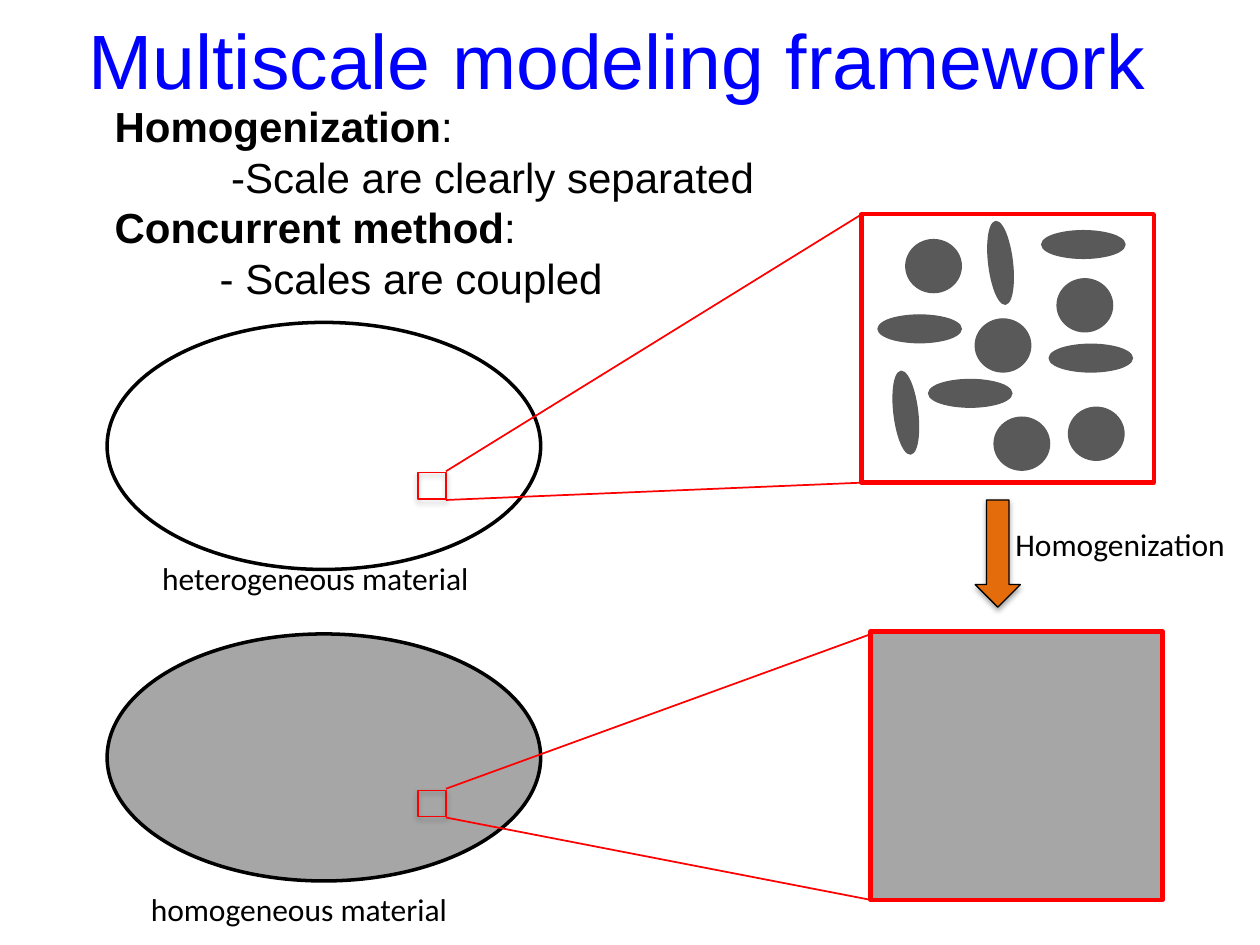
from lxml.etree import SubElement as Sub
from pptx import Presentation
from pptx.dml.color import RGBColor
from pptx.enum.shapes import MSO_CONNECTOR as Link, MSO_SHAPE as Form
from pptx.enum.text import MSO_ANCHOR as Anchor, PP_ALIGN as Align
from pptx.oxml.ns import qn
from pptx.util import Cm, Pt

HUES = {"title": "0000FF", "ink": "000000", "zoom": "FF0000",
        "grain": "595959", "mean": "A6A6A6", "arrow": "E46C0A"}
BODY = (8.74, 4.98)     # ellipse of the whole material
CELL = (5.89, 5.41)     # enlarged cell
SPOT = (0.56, 0.53)     # small square marking the cell in the body
GRAINS = [              # size, turn, places within the cell
    ((1.12, 1.07), 0, [(0.89, 0.51), (2.29, 2.11), (2.67, 4.09),
                       (3.94, 1.3), (4.17, 3.89)]),
    ((1.68, 0.56), 0, [(3.63, 0.33), (0.33, 2.03), (3.78, 2.62),
                       (1.35, 3.33)]),
    ((1.68, 0.48), 83.3, [(0.05, 3.76), (1.96, 0.74)]),
]


def hue(name):
    return RGBColor.from_string(HUES[name])


def add_form(shapes, kind, spot, size, fill, line, width):
    form = shapes.add_shape(kind, *map(Cm, (*spot, *size)))
    form.shadow.inherit = False
    if fill:
        form.fill.solid()
        form.fill.fore_color.rgb = hue(fill)
    else:
        form.fill.background()
    form.line.color.rgb = hue(line)
    form.line.width = Pt(width)
    return form


def add_shade(form):
    """Give the shape a soft shadow straight below it."""
    effects = form._element.spPr.find(qn("a:effectLst"))
    outer = Sub(effects, qn("a:outerShdw"), blurRad="40000", dist="23000",
                dir="5400000", rotWithShape="0")
    color = Sub(outer, qn("a:srgbClr"), val=HUES["ink"])
    Sub(color, qn("a:alpha"), val="35000")


def add_ray(shapes, start, end):
    ray = shapes.add_connector(Link.STRAIGHT, *map(Cm, (*start, *end)))
    ray.line.color.rgb = hue("zoom")
    ray.line.width = Pt(1)
    Sub(ray._element.spPr, qn("a:effectLst"))


def add_text(shapes, box, lines, size, font="Calibri", color="ink",
             align=Align.LEFT, anchor=Anchor.TOP):
    """Each line is an indent in cm and a list of (text, bold) runs."""
    frame = shapes.add_textbox(*map(Cm, box)).text_frame
    frame.word_wrap = True
    frame.vertical_anchor = anchor
    for num, (indent, runs) in enumerate(lines):
        para = frame.add_paragraph() if num else frame.paragraphs[0]
        para.alignment = align
        if indent:
            para._p.get_or_add_pPr().set("marL", str(Cm(indent)))
        for text, bold in runs:
            run = para.add_run()
            run.text = text
            run.font.name = font
            run.font.size = Pt(size)
            run.font.bold = bold
            run.font.color.rgb = hue(color)


def add_label(shapes, box, text):
    add_text(shapes, box, [(0, [(text, False)])], 18)


def add_head(shapes, x, y):
    add_text(shapes, (x, y, 22.86, 3.18),
             [(0, [("Multiscale modeling framework", False)])], 44, "Arial",
             "title", Align.CENTER, Anchor.MIDDLE)
    add_text(shapes, (x + 1.04, y + 2.32, 18.52, 4.37), [
        (0, [("Homogenization", True), (":", False)]),
        (2.35, [("-Scale are clearly separated", False)]),
        (0, [("Concurrent method", True), (":", False)]),
        (2.12, [("- Scales are coupled", False)]),
    ], 24, "Arial")


def add_grains(shapes, x, y):
    for size, turn, spots in GRAINS:
        for dx, dy in spots:
            grain = add_form(shapes, Form.OVAL, (x + dx, y + dy), size,
                             "grain", "grain", 0.75)
            grain.rotation = turn


def add_scale(shapes, body, cell, drop, fill=None, inset=0):
    """Draw a body, its enlarged cell and the rays between them."""
    add_form(shapes, Form.OVAL, body, BODY, fill, "ink", 2)
    group = shapes.add_group_shape().shapes if not fill else shapes
    add_form(group, Form.RECTANGLE, cell, CELL, fill, "zoom", 2.5)
    if not fill:
        add_grains(group, *cell)
    x, y = body[0] + 6.27, body[1] + drop
    add_shade(add_form(shapes, Form.RECTANGLE, (x, y), SPOT, None,
                       "zoom", 0.75))
    right, low = x + SPOT[0], y + SPOT[1]
    add_ray(shapes, (right, y - 0.03), (cell[0] + inset, cell[1]))
    add_ray(shapes, (right, low + 0.02), (cell[0], cell[1] + CELL[1]))


def add_step(shapes, x, y):
    add_label(shapes, (x + 0.56, y + 0.38, 5.18, 1.02), "Homogenization")
    add_shade(add_form(shapes, Form.DOWN_ARROW, (x, y), (0.91, 2.16),
                       "arrow", "ink", 0.75))


def main():
    deck = Presentation()
    deck.slide_width, deck.slide_height = Cm(25.4), Cm(19.05)
    shapes = deck.slides.add_slide(deck.slide_layouts[6]).shapes
    add_head(shapes, 1.02, -0.41)
    add_scale(shapes, (2.16, 6.5), (17.37, 4.32), 3.03)
    add_scale(shapes, (2.16, 12.78), (17.55, 12.73), 3.15, "mean", 0.15)
    add_label(shapes, (3.02, 11.15, 8.1, 1.02), "heterogeneous material")
    add_label(shapes, (2.79, 17.81, 8.1, 1.02), "homogeneous material")
    add_step(shapes, 19.66, 10.08)
    deck.save("out.pptx")


if __name__ == "__main__":
    main()
